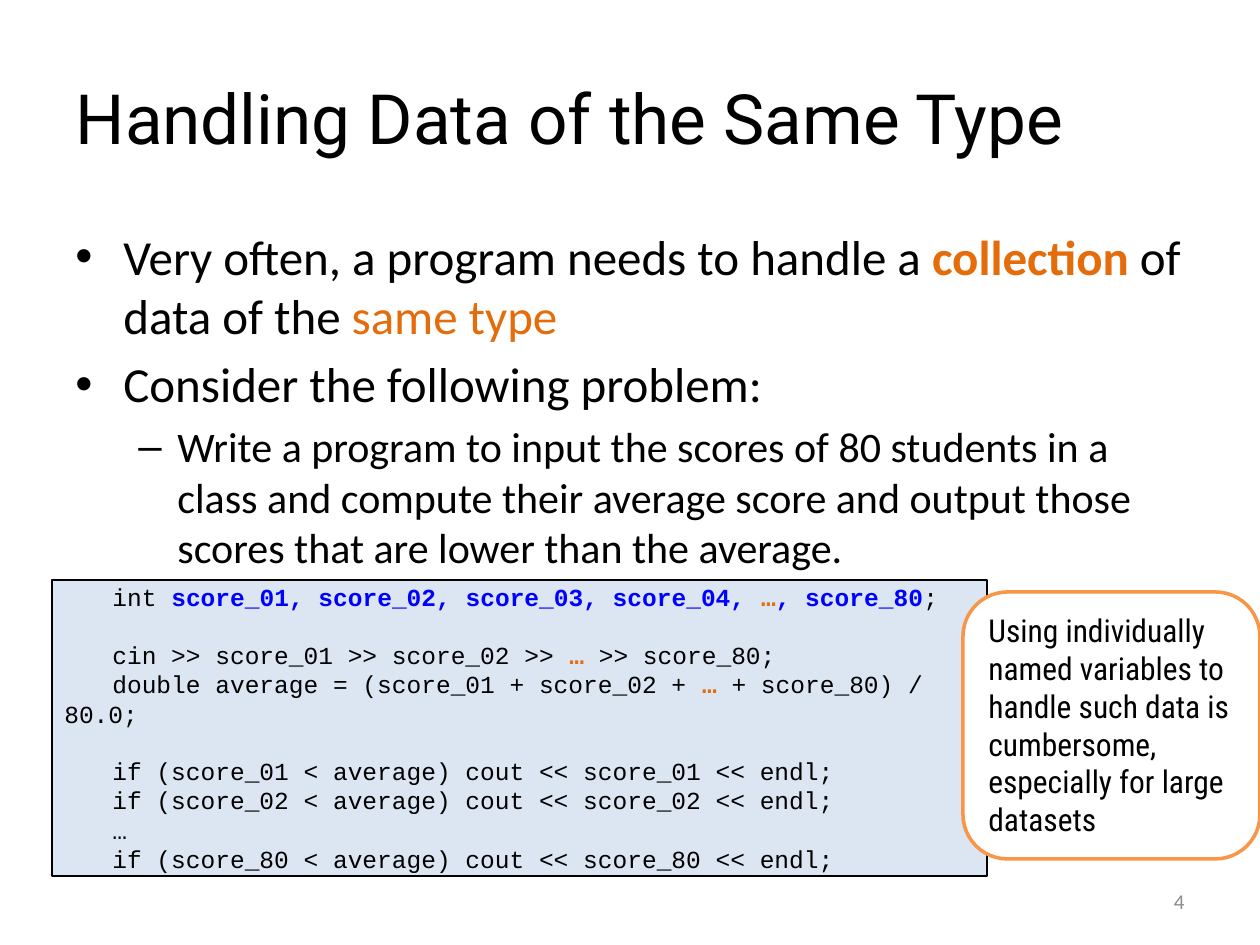
"""Build the slide on handling data of the same type."""
from lxml import etree
from pptx import Presentation
from pptx.dml.color import RGBColor
from pptx.enum.shapes import MSO_SHAPE
from pptx.enum.text import MSO_ANCHOR, PP_ALIGN
from pptx.oxml.ns import qn
from pptx.util import Pt

SCALE = 914400 // 126
TITLE_ONLY = 5
RECTANGLE, ROUNDED = MSO_SHAPE.RECTANGLE, MSO_SHAPE.ROUNDED_RECTANGLE
TOP, MIDDLE = MSO_ANCHOR.TOP, MSO_ANCHOR.MIDDLE
LEFT, RIGHT = PP_ALIGN.LEFT, PP_ALIGN.RIGHT
COLORS = {
    "black": "000000", "white": "FFFFFF", "orange": "E46C0A", "blue": "0000FF",
    "code": "DCE6F2", "border": "F79646", "gray": "8C8C8C",
}
DOTS = ("…", "orange", True)
BULLETS = [
    ("•", 28, 48, 48, ["Very often, a program needs to handle a ", ("collection", "orange", True),
                       " of data of the ", ("same type", "orange", False)]),
    ("•", 28, 48, 48, ["Consider the following problem:"]),
    ("–", 24, 102, 39, ["Write a program to input the scores of 80 students in a class and compute "
                        "their average score and output those scores that are lower than the average."]),
]


def score_check(number):
    return [f"if (score_{number} < average) cout << score_{number} << endl;"]


CODE_BLOCKS = [
    [["int ", ("score_01, score_02, score_03, score_04, ", "blue", True), DOTS,
      (", score_80", "blue", True), ";"]],
    [["cin >> score_01 >> score_02 >> ", DOTS, " >> score_80;"],
     ["double average = (score_01 + score_02 + ", DOTS, " + score_80) / 80.0;"]],
    [score_check("01"), score_check("02"), ["…"], score_check("80")],
]


def px(value):
    return round(value * SCALE)


def color(name):
    return RGBColor.from_string(COLORS[name])


def place(shape, left, top, width, height):
    shape.left, shape.top, shape.width, shape.height = map(px, (left, top, width, height))


def set_frame(shape, anchor):
    frame = shape.text_frame
    frame.word_wrap = True
    frame.vertical_anchor = anchor
    return frame


def next_paragraph(frame):
    first = frame.paragraphs[0]
    return frame.add_paragraph() if first.runs else first


def add_runs(paragraph, parts, font_name, size, align=LEFT):
    paragraph.alignment = align
    for part in parts:
        text, color_name, bold = (part, "black", False) if isinstance(part, str) else part
        run = paragraph.add_run()
        run.text = text
        run.font.name = font_name
        run.font.size = Pt(size)
        run.font.bold = bold
        run.font.color.rgb = color(color_name)


def set_indent(paragraph, margin, indent):
    properties = paragraph._p.get_or_add_pPr()
    properties.set("marL", str(px(margin)))
    properties.set("indent", str(px(indent)))
    return properties


def add_text_box(slide, box, anchor):
    shape = slide.shapes.add_textbox(*map(px, box))
    return set_frame(shape, anchor)


def add_panel(slide, kind, box, fill, line, line_width, anchor):
    shape = slide.shapes.add_shape(kind, *map(px, box))
    shape.shadow.inherit = False
    shape.fill.solid()
    shape.fill.fore_color.rgb = color(fill)
    shape.line.color.rgb = color(line)
    shape.line.width = Pt(line_width)
    return set_frame(shape, anchor)


def add_title(slide, text):
    title = slide.shapes.title
    place(title, 63, 38, 1134, 157)
    add_runs(set_frame(title, MIDDLE).paragraphs[0], [text], "Roboto", 39.6)


def add_bullets(slide):
    frame = add_text_box(slide, (63, 220, 1134, 624), TOP)
    for mark, size, margin, hanging, parts in BULLETS:
        paragraph = next_paragraph(frame)
        add_runs(paragraph, parts, "Calibri", size)
        paragraph.space_before = Pt(size * 0.2)
        properties = set_indent(paragraph, margin, -hanging)
        etree.SubElement(properties, qn("a:buFont"), typeface="Arial")
        etree.SubElement(properties, qn("a:buChar"), char=mark)


def add_code(slide):
    frame = add_panel(slide, RECTANGLE, (52, 580, 935, 296), "code", "black", 0.75, MIDDLE)
    for block_index, block in enumerate(CODE_BLOCKS):
        for line_index, parts in enumerate(block):
            paragraph = next_paragraph(frame)
            add_runs(paragraph, parts, "Courier New", 14)
            set_indent(paragraph, 0, 48)
            if block_index and not line_index:
                paragraph.space_before = Pt(16)


def add_note(slide, text):
    frame = add_panel(slide, ROUNDED, (963, 592, 297, 267), "white", "border", 2, TOP)
    add_runs(frame.paragraphs[0], [text], "Roboto Condensed", 18)


def add_slide_number(slide, number):
    paragraph = add_text_box(slide, (903, 876, 294, 50), MIDDLE).paragraphs[0]
    add_runs(paragraph, [(number, "gray", False)], "Calibri", 12, RIGHT)


def main():
    presentation = Presentation()
    presentation.slide_width, presentation.slide_height = px(1260), px(945)
    slide = presentation.slides.add_slide(presentation.slide_layouts[TITLE_ONLY])
    add_title(slide, "Handling Data of the Same Type")
    add_bullets(slide)
    add_code(slide)
    add_note(slide, "Using individually named variables to handle such data is cumbersome, "
                    "especially for large datasets")
    add_slide_number(slide, "4")
    presentation.save("out.pptx")


main()
